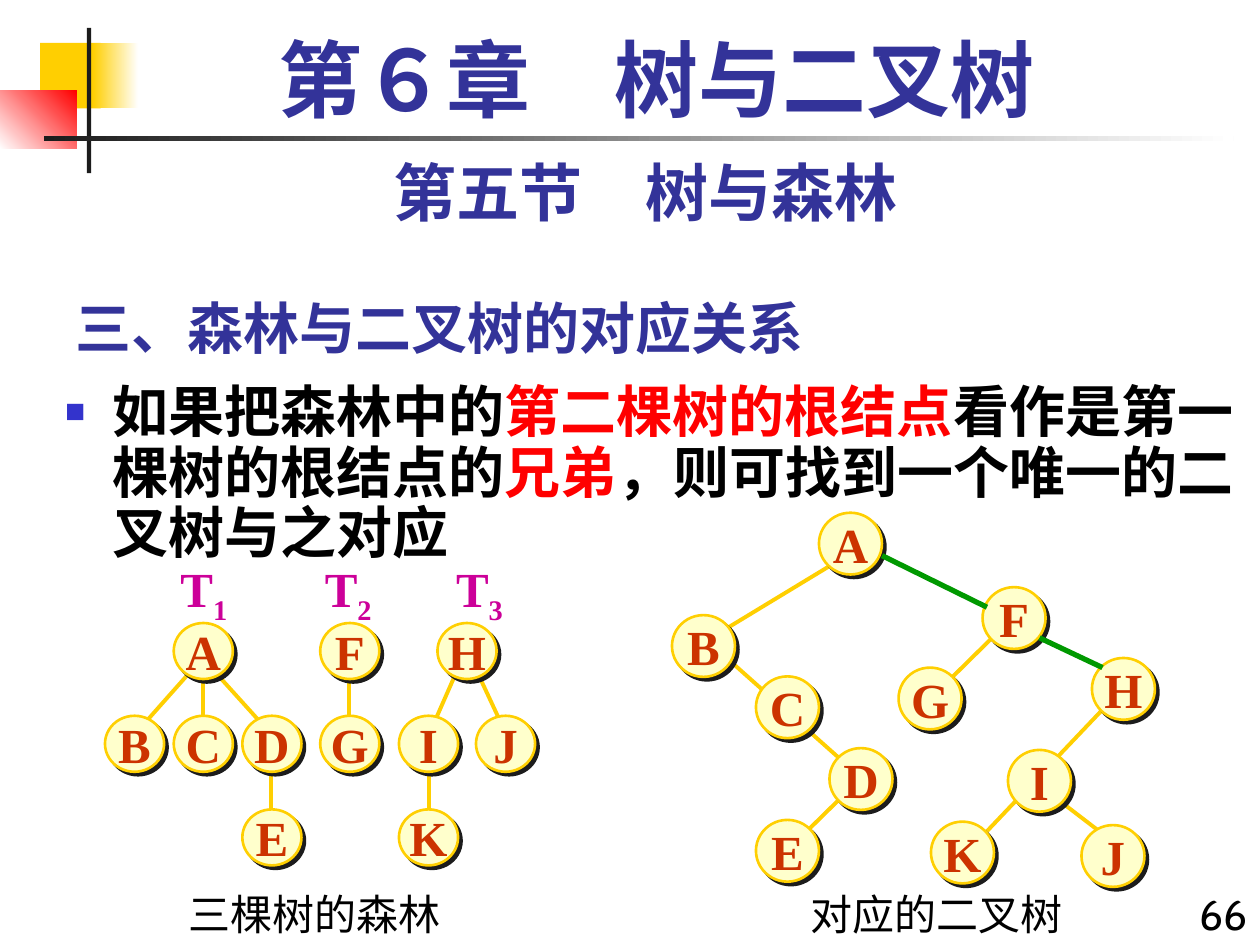
from lxml import etree
from pptx import Presentation
from pptx.dml.color import RGBColor
from pptx.enum.shapes import MSO_CONNECTOR, MSO_SHAPE
from pptx.enum.text import MSO_ANCHOR, MSO_AUTO_SIZE, PP_ALIGN
from pptx.oxml.ns import qn
from pptx.util import Pt

RECT, OVAL = MSO_SHAPE.RECTANGLE, MSO_SHAPE.OVAL
STRAIGHT = MSO_CONNECTOR.STRAIGHT
LEFT, CENTER, RIGHT = PP_ALIGN.LEFT, PP_ALIGN.CENTER, PP_ALIGN.RIGHT
TOP, MIDDLE, BOTTOM = MSO_ANCHOR.TOP, MSO_ANCHOR.MIDDLE, MSO_ANCHOR.BOTTOM
NO_FIT = MSO_AUTO_SIZE.NONE

CJK, SANS, SERIF = "Noto Sans CJK SC", "Cabin", "Times New Roman"
YELLOW, GREEN, INK, WHITE = "FFCF01", "009900", "1C1C1C", "FFFFFF"
BLUE, BLACK, RED = "333399", "000000", "FF0000"

CAPTION = {"size": Pt(24), "name": SANS, "bold": False}
SECTION = {"size": Pt(36), "name": SANS, "bold": True}
CHAPTER = {"size": Pt(48), "name": SERIF, "bold": True}
BODY = {"size": Pt(32), "name": CJK, "bold": True}
LETTER = {"size": Pt(28), "name": SERIF, "bold": True}


def rgb(value):
    return RGBColor.from_string(value)


def add_xml(parent, tag, **attrs):
    return etree.SubElement(parent, qn(tag), {k: str(v) for k, v in attrs.items()})


def add_run(p, text, color, style, base=0):
    r = p.add_run()
    r.text = text
    for key, value in style.items():
        setattr(r.font, key, value)
    r.font.color.rgb = rgb(color)
    add_xml(r.font._element, "a:ea", typeface=CJK)
    if base:
        r.font._element.set("baseline", str(base))


def place(sp, box):
    for key, value in zip(("left", "top", "width", "height"), box):
        setattr(sp, key, Pt(value))


def format_frame(sp, align, anchor=TOP, wrap=True):
    tf = sp.text_frame
    tf.auto_size, tf.word_wrap, tf.vertical_anchor = NO_FIT, wrap, anchor
    p = tf.paragraphs[0]
    p.alignment, p.space_before = align, Pt(0)
    return p


def add_label(s, box, text, color, style, align=CENTER):
    sp = s.shapes.add_textbox(*map(Pt, box))
    add_run(format_frame(sp, align), text, color, style)


def add_bar(s, box, colors, angle=0):
    sp = s.shapes.add_shape(RECT, *map(Pt, box))
    sp.shadow.inherit = False
    sp.line.fill.background()
    if len(colors) == 1:
        sp.fill.solid()
        sp.fill.fore_color.rgb = rgb(colors[0])
        return
    sp.fill.gradient()
    sp.fill.gradient_angle = angle
    for stop, color, position in zip(sp.fill.gradient_stops, colors, (0, 1)):
        stop.color.rgb = rgb(color)
        stop.position = position


def add_decoration(s, x, y):
    add_bar(s, (x + 23, y + 8.5, 34.5, 37.5), [YELLOW])
    add_bar(s, (x + 53, y + 8.5, 26, 37.5), [YELLOW, WHITE])
    add_bar(s, (x, y + 36, 44, 33), [WHITE, RED], 45)
    add_bar(s, (x + 49.7, y, 2.5, 83), [INK])
    add_bar(s, (x + 25, y + 62, 680, 2.5), [INK, WHITE])


def add_title(s, box):
    sp = s.shapes.title
    place(sp, box)
    add_run(format_frame(sp, LEFT, BOTTOM), "三、森林与二叉树的对应关系", BLUE, BODY)


def add_body(s, box):
    sp = s.placeholders[1]
    place(sp, box)
    p = format_frame(sp, LEFT)
    p.line_spacing = 0.9
    pPr = p._p.get_or_add_pPr()
    pPr.set("marL", str(Pt(27)))
    pPr.set("indent", str(Pt(-27)))
    add_xml(add_xml(pPr, "a:buClr"), "a:srgbClr", val="3333CC")
    add_xml(pPr, "a:buSzPct", val=60000)
    add_xml(pPr, "a:buChar", char="■")
    for text, color in [("如果把森林中的", BLACK), ("第二棵树的根结点", RED),
                        ("看作是第一棵树的根结点的", BLACK), ("兄弟", RED),
                        ("，则可找到一个唯一的二叉树与之对应", BLACK)]:
        add_run(p, text, color, BODY)


def add_tree_names(s, box, tabs):
    sp = s.shapes.add_textbox(*map(Pt, box))
    p = format_frame(sp, LEFT, MIDDLE)
    tab_list = add_xml(p._p.get_or_add_pPr(), "a:tabLst")
    for tab in tabs:
        add_xml(tab_list, "a:tab", pos=Pt(tab), algn="l")
    for text, number in (("T", "1"), ("\tT", "2"), ("\tT", "3")):
        add_run(p, text, "CC0099", LETTER)
        add_run(p, number, "CC0099", LETTER, -25000)


def add_edge(group, x, y, ends, color=YELLOW, width=2.25):
    x1, y1, x2, y2 = ends
    c = group.shapes.add_connector(STRAIGHT, Pt(x + x1), Pt(y + y1), Pt(x + x2), Pt(y + y2))
    c.line.color.rgb = rgb(color)
    c.line.width = Pt(width)
    add_xml(c._element.spPr, "a:effectLst")


def add_node(group, box, letter):
    sp = group.shapes.add_shape(OVAL, *map(Pt, box))
    sp.fill.solid()
    sp.fill.fore_color.rgb = rgb("FFFFCC")
    sp.line.color.rgb = rgb(YELLOW)
    sp.line.width = Pt(1.5)
    sp.shadow.inherit = False
    effects = sp._element.spPr.find(qn("a:effectLst"))
    shadow = add_xml(effects, "a:outerShdw", blurRad=0, dist=Pt(2.8), dir=45 * 60000,
                     algn="ctr", rotWithShape=0)
    add_xml(shadow, "a:srgbClr", val=INK)
    p = format_frame(sp, CENTER, MIDDLE, False)
    tf = sp.text_frame
    tf.margin_left = tf.margin_right = tf.margin_top = tf.margin_bottom = 0
    add_run(p, letter, "CC3300", LETTER)


def add_tree(s, x, y, node_size, nodes, edges):
    group = s.shapes.add_group_shape()
    for ends in edges:
        add_edge(group, x, y, ends)
    for letter, (dx, dy) in nodes.items():
        add_node(group, (x + dx, y + dy, *node_size), letter)
    return group


def add_forest(s, x, y):
    root, child, leaf = 0, 53, 106.5
    nodes = {"A": (39.3, root), "F": (123, root), "H": (190, root),
             "B": (0, child), "C": (39.3, child), "D": (78.5, child),
             "G": (123, child), "I": (168, child), "J": (212, child),
             "E": (78.5, leaf), "K": (168, leaf)}
    upper = [(212, 26.5, 229.5, 64), (201.5, 26.5, 185, 64), (61.5, 26.5, 90, 58),
             (50, 26.5, 22, 58), (139.5, 26.5, 139.5, 58), (56, 26.5, 56, 58)]
    lower = [(cx, 79.5, cx, 111.5) for cx in (95, 185)]
    add_tree(s, x, y, (33.8, 32), nodes, upper + lower)


def add_binary_tree(s, x, y):
    nodes = {"A": (84, 0), "B": (0, 58.5), "C": (48, 93.5), "D": (90, 134.5),
             "E": (48, 175.5), "F": (177.5, 42.5), "G": (129.5, 88.5), "H": (240, 83),
             "I": (192, 135.5), "J": (234, 178.5), "K": (148, 176.5)}
    edges = [(90, 30.5, 24, 70.5), (24, 76.5, 102, 146), (102, 157.5, 72, 187),
             (189, 65.5, 153, 101), (246, 112.5, 180, 182), (222, 165, 252, 188)]
    group = add_tree(s, x, y, (36, 35.3), nodes, edges)
    for ends in ((120, 24.5, 180, 54), (210, 71.5, 246, 88.5)):
        add_edge(group, x, y, ends, GREEN, 3)


def main():
    prs = Presentation()
    prs.slide_width, prs.slide_height = Pt(720), Pt(540)
    s = prs.slides.add_slide(prs.slide_layouts[1])
    add_decoration(s, 0, 16)
    add_title(s, (36, 156, 450, 54))
    add_body(s, (30, 216, 690, 324))
    add_label(s, (48, 12, 654, 60), "第６章　树与二叉树", BLUE, CHAPTER)
    add_label(s, (36, 84, 666, 50), "第五节　树与森林", BLUE, SECTION)
    add_label(s, (90, 504, 180, 36), "三棵树的森林", BLACK, CAPTION)
    add_label(s, (456, 504, 168, 36), "对应的二叉树", BLACK, CAPTION, LEFT)
    add_label(s, (672, 504, 48, 36), "66", BLACK, CAPTION, RIGHT)
    add_tree_names(s, (96, 318, 204, 41), (82.5, 157.5))
    add_forest(s, 60, 356)
    add_binary_tree(s, 384, 293)
    prs.save("out.pptx")


if __name__ == "__main__":
    main()
